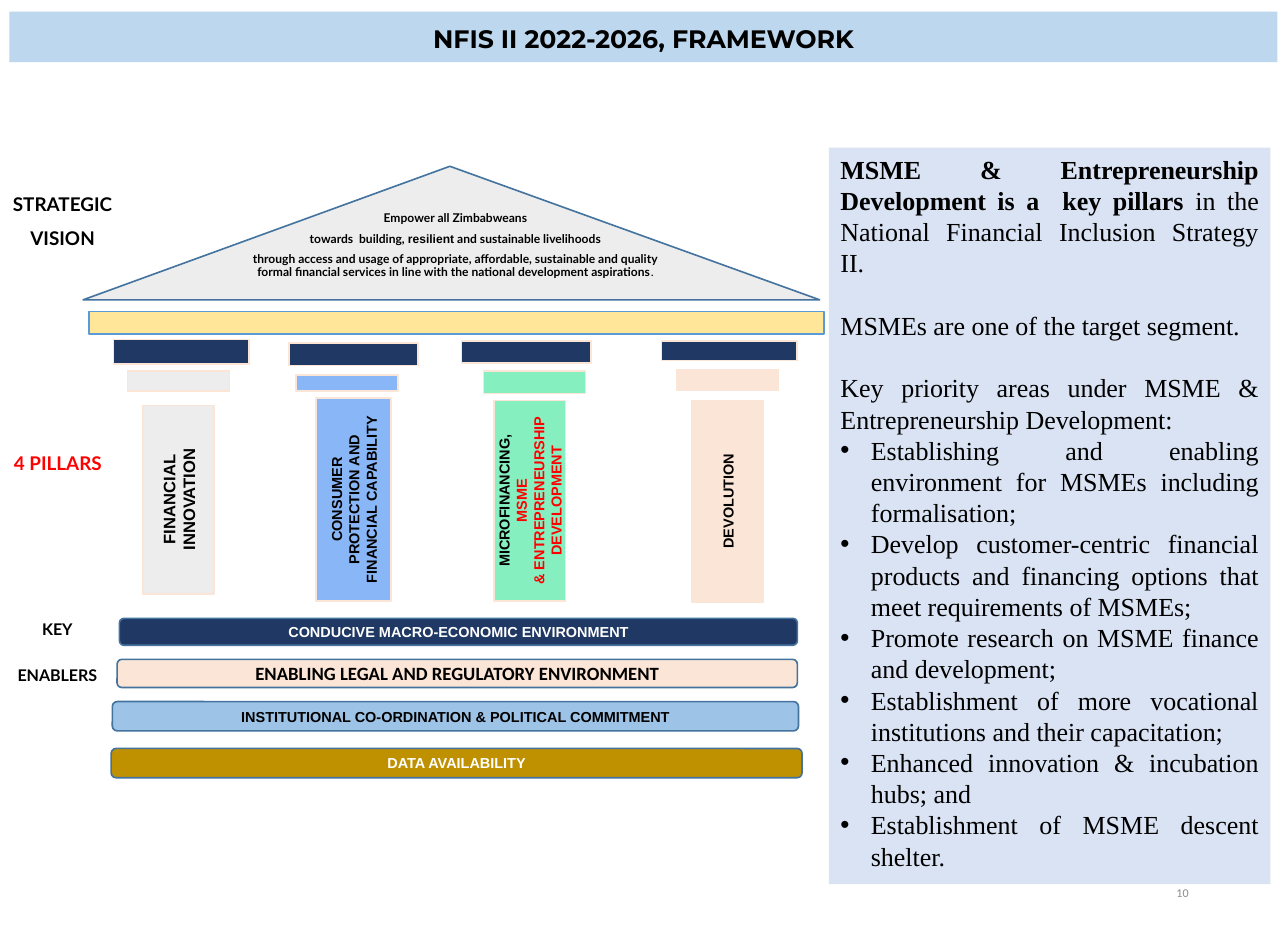
from dataclasses import dataclass
from lxml import etree
from pptx import Presentation, util as u
from pptx.dml.color import RGBColor
from pptx.enum import shapes, text
from pptx.oxml import ns

COLS, ROWS = 110, 80
RECT = shapes.MSO_SHAPE.RECTANGLE
ROUND = shapes.MSO_SHAPE.ROUNDED_RECTANGLE
PEAK = shapes.MSO_SHAPE.ISOSCELES_TRIANGLE
MID, TOP = text.MSO_ANCHOR.MIDDLE, text.MSO_ANCHOR.TOP
ALIGN = text.PP_ALIGN


@dataclass(frozen=True)
class Theme:
    black: str = "000000"
    white: str = "FFFFFF"
    red: str = "FF0000"
    grey: str = "8C8C8C"
    navy: str = "203864"
    steel: str = "43739E"
    blue: str = "5B9BD5"
    sky: str = "89B6F7"
    pale: str = "9DC3E6"
    head: str = "BDD7EE"
    panel: str = "DAE3F3"
    mint: str = "85EFBF"
    peach: str = "FBE5D6"
    stone: str = "EDEDED"
    cream: str = "FFE699"
    gold: str = "BF9000"
    title: float = 15.5
    body: float = 16
    label: float = 11.6
    key: float = 9.9
    large: float = 11.5
    mid: float = 10.2
    small: float = 8.9
    tiny: float = 7.4


T = Theme()


def rgb(code):
    return RGBColor.from_string(code)


def span(deck, box):
    x, y, w, h = box
    cw, rh = deck.slide_width / COLS, deck.slide_height / ROWS
    return [round(n) for n in (x * cw, y * rh, w * cw, h * rh)]


def shift(box, part):
    return (box[0] + part[0], box[1] + part[1], part[2], part[3])


class Page:
    def __init__(self, deck):
        self.deck = deck
        self.slide = deck.slides.add_slide(deck.slide_layouts[5])

    def put(self, kind, box, fill, line=None):
        shape = self.slide.shapes.add_shape(kind, *span(self.deck, box))
        shape.shadow.inherit = False
        paint(shape, fill)
        if line:
            shape.line.color.rgb = rgb(line)
            shape.line.width = u.Pt(1)
        else:
            shape.line.fill.background()
        return shape

    def note(self, box):
        return self.slide.shapes.add_textbox(*span(self.deck, box)).text_frame


def paint(shape, fill):
    shape.fill.solid()
    shape.fill.fore_color.rgb = rgb(fill)


def frame(tf, anchor=MID, pad=(0, 0)):
    tf.word_wrap = True
    tf.auto_size = text.MSO_AUTO_SIZE.NONE
    tf.vertical_anchor = anchor
    tf.margin_left = tf.margin_right = u.Inches(pad[0])
    tf.margin_top = tf.margin_bottom = u.Inches(pad[1])


def style(font, name, size, color, bold):
    font.name, font.size, font.bold = name, u.Pt(size), bold
    font.color.rgb = rgb(color)


def write(tf, copy, name, size, color=T.black, bold=True, align=ALIGN.CENTER,
          lead=None, before=0, after=0):
    tf.text = copy
    for i, para in enumerate(tf.paragraphs):
        para.alignment = align
        para.line_spacing = lead
        para.space_before = u.Pt(before if i else 0)
        para.space_after = u.Pt(after)
        for run in para.runs:
            style(run.font, name, size, color, bold)


def extend(para, copy, name, size, color=T.black, bold=True):
    run = para.add_run()
    run.text = copy
    style(run.font, name, size, color, bold)


def bullet(para):
    prop = para._p.get_or_add_pPr()
    prop.set("marL", str(u.Inches(0.26)))
    prop.set("indent", str(-u.Inches(0.26)))
    etree.SubElement(prop, ns.qn("a:buFont")).set("typeface", "Arial")
    etree.SubElement(prop, ns.qn("a:buChar")).set("char", "•")


def header(page, box):
    title = page.slide.shapes.title
    title.left, title.top, title.width, title.height = span(page.deck, box)
    paint(title, T.head)
    frame(title.text_frame, pad=(0.08, 0.04))
    write(title.text_frame, "NFIS II 2022-2026, FRAMEWORK", "Montserrat", T.title,
          lead=1.1, after=1.8)


def labels(page, box):
    for part, copy, size, color, lead in (
        ((0, 0, 9.5, 6.1), "STRATEGIC VISION", T.label, T.black, 1.5),
        ((0.2, 22.5, 8.3, 6.1), "4 PILLARS", T.label, T.red, 1.3),
        ((0.2, 36.9, 8.2, 6.2), "KEY\nENABLERS", T.key, T.black, 1.3),
    ):
        tf = page.note(shift(box, part))
        frame(tf, TOP)
        write(tf, copy, "Lato", size, color, lead=lead, before=7.7, after=5.1)


def roof(page, box):
    peak = page.put(PEAK, shift(box, (0, 0, 62.9, 11.4)), T.stone, T.steel)
    peak.adjustments[0] = 0.498
    page.put(RECT, shift(box, (0.5, 12.4, 62.8, 1.9)), T.cream, T.blue)
    tf = page.note(shift(box, (13.2, 3.6, 37.2, 6.8)))
    frame(tf, TOP, (0.06, 0.03))
    write(tf, "Empower all Zimbabweans\ntowards  building, \n"
          "through access and usage of appropriate, affordable, sustainable and quality "
          "formal financial services in line with the national development aspirations",
          "Lato", T.tiny, lead=0.9, before=4.8)
    _, goal, means = tf.paragraphs
    extend(goal, "resilient", "Arial", T.tiny)
    extend(goal, " and sustainable livelihoods", "Lato", T.tiny)
    extend(means, ".", "Lato", T.tiny, bold=False)


def pillar(page, box, fill, cap, neck, shaft, copy, size):
    page.put(RECT, shift(box, cap), T.navy, T.peach)
    page.put(RECT, shift(box, neck), fill, T.peach)
    post = page.put(RECT, shift(box, shaft), fill, T.peach)
    post.rotation = 180
    tf = post.text_frame
    frame(tf, pad=(0.1, 0.05))
    tf._txBody.bodyPr.set("vert", "vert")
    write(tf, copy, "Arial", size)
    return tf


def pillars(page, box):
    pillar(page, box, T.stone, (0, 0, 11.6, 2.1), (1.2, 2.7, 8.7, 1.7),
           (2.5, 5.6, 6.1, 16.1), "FINANCIAL INNOVATION", T.mid)
    pillar(page, box, T.sky, (15, 0.3, 11, 1.9), (15.6, 3, 8.7, 1.4),
           (17.3, 5, 6.4, 17.3), "CONSUMER PROTECTION AND FINANCIAL CAPABILITY", T.small)
    tf = pillar(page, box, T.mint, (29.7, 0.1, 11.1, 1.9), (31.6, 2.7, 8.7, 1.9),
                (32.5, 5.2, 6.1, 17.1),
                "MICROFINANCING, \n& ENTREPRENEURSHIP DEVELOPMENT", T.small)
    micro, growth = tf.paragraphs
    extend(micro, "MSME", "Arial", T.small, T.red)
    growth.runs[0].font.color.rgb = rgb(T.red)
    pillar(page, box, T.peach, (46.8, 0.1, 11.6, 1.7), (48.1, 2.6, 8.7, 1.7),
           (49.4, 5.2, 6.1, 17.2), "DEVOLUTION", T.small)


def base(page, box):
    for part, fill, copy, name, size, color in (
        ((0.7, 0, 57.9, 2.3), T.navy, "CONDUCIVE MACRO-ECONOMIC ENVIRONMENT",
         "Arial", T.small, T.white),
        ((0.5, 3.5, 58.1, 2.4), T.peach, "ENABLING LEGAL AND REGULATORY ENVIRONMENT",
         "Calibri", T.large, T.black),
        ((0.1, 7.1, 58.6, 2.5), T.pale, "INSTITUTIONAL CO-ORDINATION & POLITICAL COMMITMENT",
         "Arial", T.small, T.black),
        ((0, 11.1, 59, 2.5), T.gold, "DATA AVAILABILITY", "Arial", T.small, T.white),
    ):
        bar = page.put(ROUND, shift(box, part), fill, T.steel)
        frame(bar.text_frame)
        write(bar.text_frame, copy, name, size, color)


def panel(page, box):
    tf = page.put(RECT, box, T.panel).text_frame
    frame(tf, TOP, (0.1, 0.05))
    name = "Times New Roman"
    write(tf, "MSME & Entrepreneurship Development is a  key pillars \n"
          "MSMEs are one of the target segment.\n"
          "Key priority areas under MSME & Entrepreneurship Development:\n"
          "Establishing and enabling environment for MSMEs including formalisation;\n"
          "Develop customer-centric financial products and financing options that meet "
          "requirements of MSMEs;\n"
          "Promote research on MSME finance and development;\n"
          "Establishment of more vocational institutions and their capacitation;\n"
          "Enhanced innovation & incubation hubs; and\n"
          "Establishment of MSME descent shelter.",
          name, T.body, bold=False, align=ALIGN.JUSTIFY)
    lead, *rest = tf.paragraphs
    lead.runs[0].font.bold = True
    extend(lead, "in the National Financial Inclusion Strategy II.", name, T.body, bold=False)
    for para in rest[:2]:
        para.space_before = u.Pt(19.2)
    for para in rest[2:]:
        para.space_before = u.Pt(0)
    rest[1].space_before = u.Pt(19.2)
    for para in rest[2:]:
        bullet(para)


def number(page, box):
    tf = page.note(box)
    frame(tf, pad=(0.1, 0.05))
    write(tf, "10", "Calibri", T.tiny, T.grey, False, ALIGN.RIGHT)


def main():
    deck = Presentation()
    deck.slide_width, deck.slide_height = u.Inches(11), u.Inches(8)
    page = Page(deck)
    header(page, (0.8, 1, 108.3, 4.3))
    labels(page, (0.6, 15.5, 9.5, 43.1))
    roof(page, (7.1, 14.2, 63.3, 14.3))
    pillars(page, (9.7, 29, 58.4, 22.4))
    base(page, (9.5, 52.8, 59, 13.6))
    panel(page, (70.8, 12.6, 37.7, 62.9))
    number(page, (77.7, 74.1, 24.8, 4.3))
    deck.save("out.pptx")


if __name__ == "__main__":
    main()
